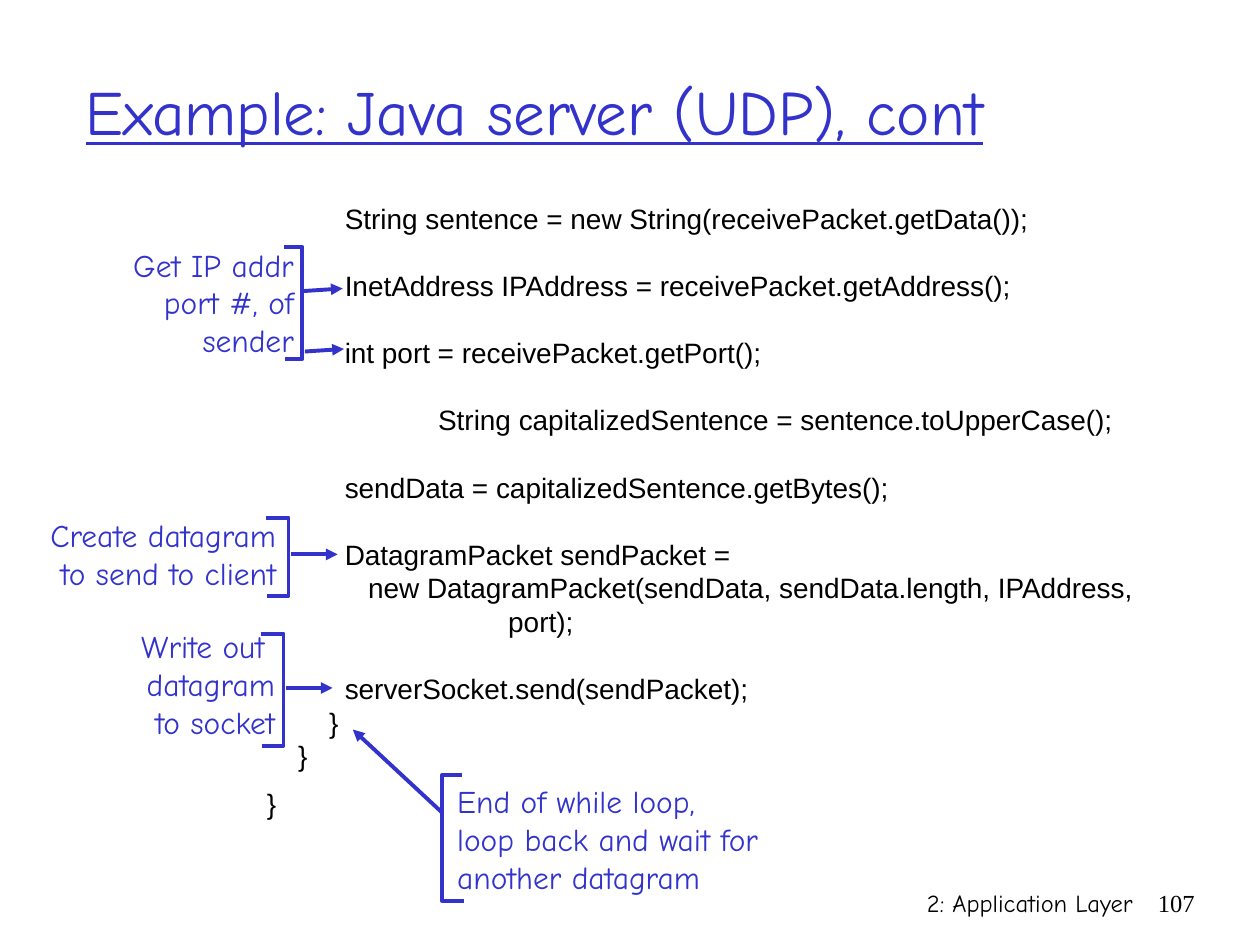
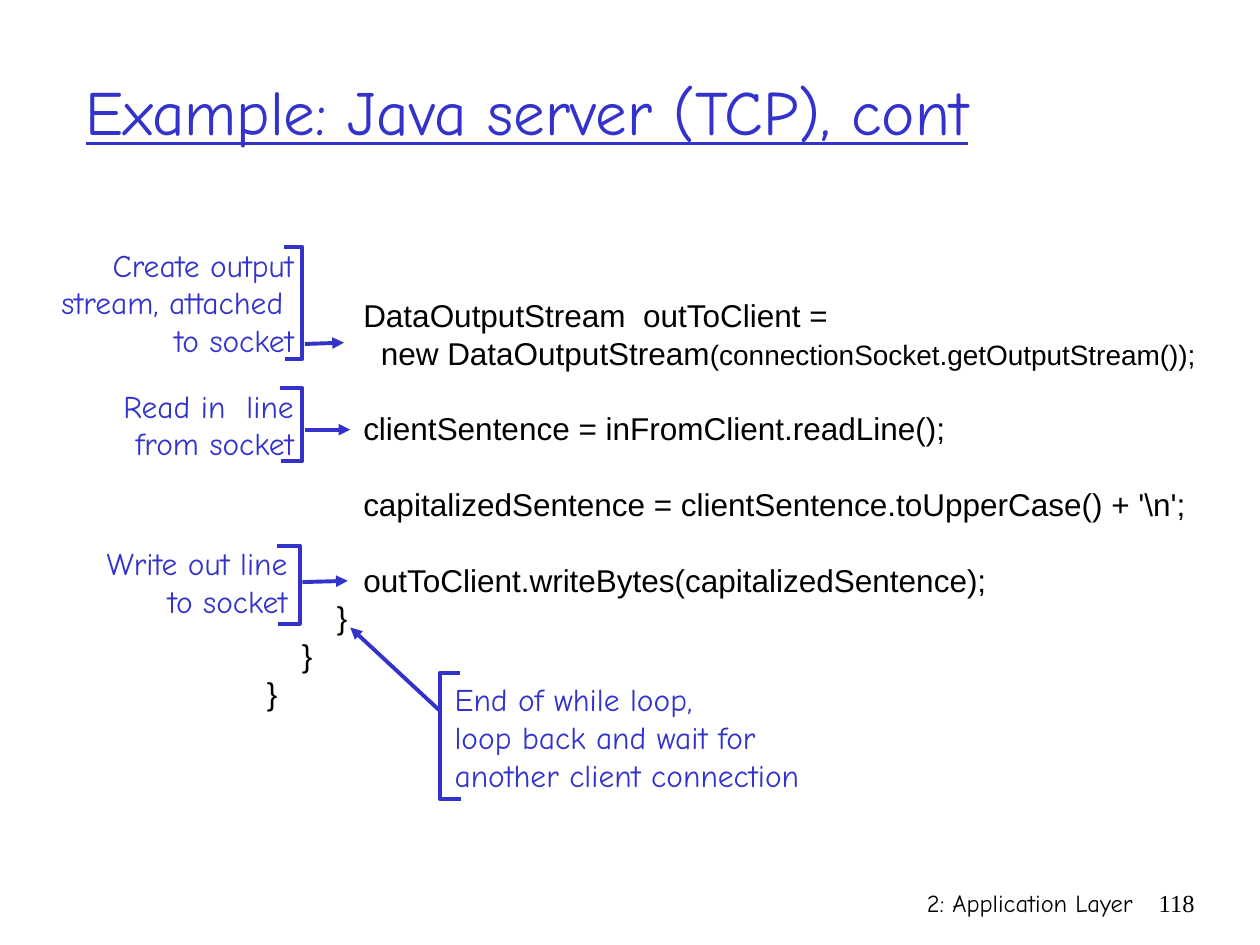
from lxml import etree
from pptx import Presentation
from pptx import util as u
from pptx.dml.color import RGBColor
from pptx.enum import shapes, text

Inches, Pt = u.Inches, u.Pt
BLUE, BLACK = "3333CC", "000000"
HAND, CODE, SERIF = "Comic Neue", "Arial", "Times New Roman"
LEFT, RIGHT = text.PP_ALIGN.LEFT, text.PP_ALIGN.RIGHT
A = "http://schemas.openxmlformats.org/drawingml/2006/main"
LABEL_SIZE, LABEL_W, LEADING = 18, 2.2, 1.2
SPACE_EM = 0.278  # width of one code column, in ems


def style(item, size, font, color):
    """Format a run, or draw a line when no size is given."""
    if size:
        item.font.size, item.font.name = Pt(size), font
        item.font.color.rgb = RGBColor.from_string(color)
        return
    item.line.color.rgb = RGBColor.from_string(color)
    item.line.width = Pt(2.25)


def add_text(s, box, lines, size, font, color, align=LEFT, leading=None):
    """Add a text box; a line is a list of (text, size) runs or a string."""
    tf = s.shapes.add_textbox(*[Inches(v) for v in box]).text_frame
    tf.word_wrap = True
    for i, line in enumerate(lines):
        p = tf.paragraphs[0] if i == 0 else tf.add_paragraph()
        p.alignment = align
        if leading:
            p.line_spacing = Pt(size * leading)
        for words, run_size in [(line, size)] if isinstance(line, str) else line:
            r = p.add_run()
            r.text = words
            style(r, run_size, font, color)
    return tf


# Code lines: (columns of indent, points of space before, text or runs)
# Labels: (alignment, text edge, top, lines, bracket tip/spine/top/bottom, arrows)
slides = [
    dict(
        title="Example: Java server (UDP), cont", number="107",
        code_top=1.55, code_size=16,
        code=[
            (10, 0, "String sentence = new String(receivePacket.getData());"),
            (10, 19.2, "InetAddress IPAddress = receivePacket.getAddress();"),
            (10, 19.2, "int port = receivePacket.getPort();"),
            (22, 19.2, "String capitalizedSentence = sentence.toUpperCase();"),
            (10, 19.2, "sendData = capitalizedSentence.getBytes();"),
            (10, 19.2, "DatagramPacket sendPacket ="),
            (13, 0, "new DatagramPacket(sendData, sendData.length, IPAddress,"),
            (31, 0, "port);"),
            (10, 19.2, "serverSocket.send(sendPacket);"),
            (8, 0, "}"), (4, 0, "}"), (0, 8, "}"),
        ],
        labels=[
            (RIGHT, 2.43, 1.9, ["Get IP addr", "port #, of", "sender"],
             (2.25, 2.4, 1.96, 2.85),
             [(2.41, 2.31, 2.72, 2.29), (2.42, 2.79, 2.73, 2.77)]),
            (RIGHT, 2.29, 4.05, ["Create datagram", "to send to client"],
             (2.11, 2.29, 4.11, 4.73), [(2.31, 4.4, 2.68, 4.4)]),
            (RIGHT, 2.28, 4.93, ["Write out ", "datagram", "to socket"],
             (2.07, 2.25, 5.03, 5.92), [(2.27, 5.46, 2.64, 5.46)]),
            (LEFT, 3.53, 6.16,
             ["End of while loop,", "loop back and wait for", "another datagram"],
             (3.67, 3.51, 6.15, 7.15), [(3.51, 6.45, 2.8, 5.79)]),
        ]),
    dict(
        title="Example: Java server (TCP), cont", number="118",
        code_top=2.3, code_size=18,
        code=[
            (11, 0, "DataOutputStream  outToClient ="),
            (13, 0, [("new DataOutputStream", 18),
                     ("(connectionSocket.getOutputStream());", 16)]),
            (11, 21.6, "clientSentence = inFromClient.readLine();"),
            (11, 21.6, "capitalizedSentence = clientSentence.toUpperCase() + '\\n';"),
            (11, 21.6, "outToClient.writeBytes(capitalizedSentence);"),
            (8, 0, "}"), (4, 0, "}"), (0, 0, "}"),
        ],
        labels=[
            (RIGHT, 2.43, 1.9, ["Create output", "stream, attached ", "to socket"],
             (2.25, 2.4, 1.96, 2.85), [(2.42, 2.73, 2.73, 2.72)]),
            (RIGHT, 2.43, 3.02, ["Read in  line", "from socket"],
             (2.22, 2.4, 3.08, 3.66), [(2.42, 3.41, 2.78, 3.41)]),
            (RIGHT, 2.38, 4.27, ["Write out line", "to socket"],
             (2.2, 2.38, 4.33, 4.95), [(2.4, 4.62, 2.76, 4.61)]),
            (LEFT, 3.51, 5.35,
             ["End of while loop,", "loop back and wait for",
              "another client connection"],
             (3.65, 3.49, 5.34, 6.34), [(3.49, 5.64, 2.78, 4.98)]),
        ]),
]

prs = Presentation()
prs.slide_width, prs.slide_height = Inches(10), Inches(7.5)

for data in slides:
    s = prs.slides.add_slide(prs.slide_layouts[5])

    # Footer and slide number
    add_text(s, (5.92, 7, 3.17, 0.5), ["2: Application Layer"], 14, HAND, BLACK, RIGHT)
    add_text(s, (9.08, 7, 0.5, 0.5), [data["number"]], 14, SERIF, BLACK, RIGHT)

    # Title
    sp = s.shapes.title
    sp.left, sp.top, sp.width, sp.height = [Inches(v) for v in (0.58, 0.25, 8.5, 1.25)]
    tf = sp.text_frame
    tf.text = data["title"]
    tf.auto_size = text.MSO_AUTO_SIZE.NONE
    tf.vertical_anchor = text.MSO_ANCHOR.MIDDLE
    p = tf.paragraphs[0]
    p.alignment = LEFT
    style(p.runs[0], 36, HAND, BLUE)
    p.runs[0].font.underline = True

    # Code listing
    size = data["code_size"]
    tf = add_text(s, (2.02, data["code_top"], 7.78, 5), [c[2] for c in data["code"]],
                  size, CODE, BLACK, leading=LEADING)
    for p, (columns, gap, _) in zip(tf.paragraphs, data["code"]):
        p.space_before = Pt(gap)
        pPr = p._p.get_or_add_pPr()
        pPr.set("marL", str(Pt(columns * SPACE_EM * size)))
        pPr.set("indent", "0")

    # Labels with their brackets and arrows
    for align, edge, top, lines, bracket, arrows in data["labels"]:
        box = (edge - LABEL_W, top, LABEL_W, 0.1 + 0.3 * len(lines))
        if align == LEFT:
            box = (edge, top, 3.3, box[3])
        add_text(s, box, lines, LABEL_SIZE, HAND, BLUE, align, LEADING)

        tip, spine, y1, y2 = bracket
        corners = [(spine, y1), (spine, y2), (tip + 0.01, y2)]
        fb = s.shapes.build_freeform(Inches(tip), Inches(y1))
        fb.add_line_segments([(Inches(x), Inches(y)) for x, y in corners], close=False)
        sp = fb.convert_to_shape()
        sp.shadow.inherit = False
        sp.fill.background()
        style(sp, None, None, BLUE)

        for ends in arrows:
            sp = s.shapes.add_connector(shapes.MSO_CONNECTOR.STRAIGHT,
                                        *[Inches(v) for v in ends])
            style(sp, None, None, BLUE)
            ln = sp.line._get_or_add_ln()
            etree.SubElement(ln, f"{{{A}}}tailEnd", type="triangle")
            etree.SubElement(sp._element.spPr, f"{{{A}}}effectLst")

prs.save("out.pptx")
